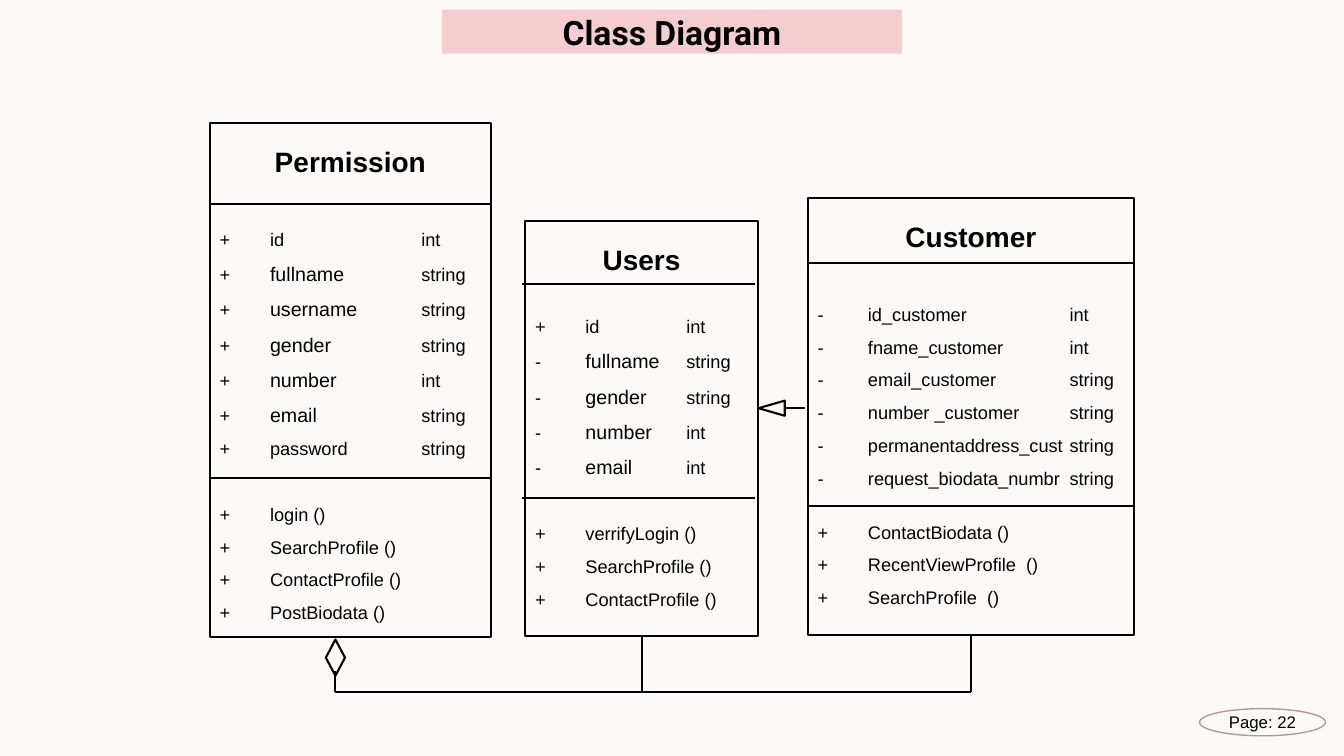
"""Build a class diagram slide with three linked classes."""
from lxml import etree
from pptx import Presentation
from pptx import util as u
from pptx.dml.color import RGBColor
from pptx.enum import shapes, text
from pptx.oxml.ns import qn

COLORS = {"back": "FDFAF6", "ink": "000000", "banner": "F5CDCE", "page": "B59898"}
TITLE, PAGE = "Class Diagram", "Page: 22"
CLASSES = [
    dict(name="Permission", box=(149.8, 87.8, 200.9, 367.2), rules=(145.5, 341.3),
         shift=0, type_tab=144, gaps=(28, 23.4),
         fields=[("+", "id", "int", 13), ("+", "fullname", "string", 14),
                 ("+", "username", "string", 14), ("+", "gender", "string", 14),
                 ("+", "number", "int", 14), ("+", "email", "string", 14),
                 ("+", "password", "string", 13)],
         methods=["login ()", "SearchProfile ()", "ContactProfile ()", "PostBiodata ()"]),
    dict(name="Users", box=(375.1, 157.7, 166.3, 296.6), rules=(203, 355.6),
         shift=-2, type_tab=108, gaps=(20.5, 23.4),
         fields=[("+", "id", "int", 13), ("-", "fullname", "string", 14),
                 ("-", "gender", "string", 14), ("-", "number", "int", 14),
                 ("-", "email", "int", 14)],
         methods=["verrifyLogin ()", "SearchProfile ()", "ContactProfile ()"]),
    dict(name="Customer", box=(576.9, 141.2, 233.2, 312.4), rules=(188, 361.4),
         shift=0, type_tab=180, gaps=(28, 15),
         fields=[("-", "id_customer", "int", 13), ("-", "fname_customer", "int", 13),
                 ("-", "email_customer", "string", 13), ("-", "number _customer", "string", 13),
                 ("-", "permanentaddress_cust", "string", 13),
                 ("-", "request_biodata_numbr", "string", 13)],
         methods=["ContactBiodata ()", "RecentViewProfile  ()", "SearchProfile  ()"]),
]
BUS_Y, DIAMOND_X, USERS_X, CUSTOMER_X = 494.5, 239.6, 458.6, 693.4
LINKS = [(DIAMOND_X, BUS_Y, CUSTOMER_X, BUS_Y), (DIAMOND_X, 479.5, DIAMOND_X, BUS_Y),
         (USERS_X, 454.3, USERS_X, BUS_Y), (CUSTOMER_X, 453.6, CUSTOMER_X, BUS_Y),
         (560.9, 291.6, 575.3, 291.6)]
DIAMOND = (DIAMOND_X - 6.85, 456.8, 13.7, 25.9)
TRIANGLE = (545.8, 282.2, 10.8, 18.7)


def rgb(key):
    return RGBColor.from_string(COLORS[key])


def add_run(p, words, size, bold=False, font="Arial"):
    r = p.add_run()
    r.text = words
    r.font.size, r.font.bold, r.font.name = u.Pt(size), bold, font
    r.font.color.rgb = rgb("ink")


def add_outline(s, kind, box, color="ink", width=1.5):
    sp = s.shapes.add_shape(kind, *map(u.Pt, box))
    sp.shadow.inherit = False
    sp.fill.background()
    sp.line.color.rgb, sp.line.width = rgb(color), u.Pt(width)
    return sp


def add_line(s, *ends):
    ln = s.shapes.add_connector(shapes.MSO_CONNECTOR.STRAIGHT, *map(u.Pt, ends))
    ln.line.color.rgb, ln.line.width = rgb("ink"), u.Pt(1.5)
    etree.SubElement(ln._element.spPr, qn("a:effectLst"))


def add_row(tf, parts, type_tab, before):
    p = tf.add_paragraph()
    p.alignment, p.line_spacing = text.PP_ALIGN.LEFT, 1.5
    p.space_before = u.Pt(before)
    tabs = etree.SubElement(p._p.get_or_add_pPr(), qn("a:tabLst"))
    for stop in (36, type_tab):
        etree.SubElement(tabs, qn("a:tab"), pos=str(u.Pt(stop)), algn="l")
    for words, size in parts:
        add_run(p, words, size)


def add_class(s, name, box, rules, shift, type_tab, gaps, fields, methods):
    sp = add_outline(s, shapes.MSO_SHAPE.RECTANGLE, box)
    tf = sp.text_frame
    tf.word_wrap, tf.vertical_anchor = True, text.MSO_ANCHOR.TOP
    p = tf.paragraphs[0]
    p.alignment, p.line_spacing = text.PP_ALIGN.CENTER, 1.5
    add_run(p, name, 20, True)
    for i, (sign, field, kind, size) in enumerate(fields):
        parts = [(sign + "\t", 13), (field, size), ("\t" + kind, 13)]
        add_row(tf, parts, type_tab, 0 if i else gaps[0])
    for i, method in enumerate(methods):
        add_row(tf, [("+\t" + method, 13)], type_tab, 0 if i else gaps[1])
    left = box[0] + shift
    for y in rules:
        add_line(s, left, y, left + box[2], y)


def add_label(sp, words, size, bold=False, font="Arial"):
    tf = sp.text_frame
    tf.word_wrap, tf.vertical_anchor = True, text.MSO_ANCHOR.MIDDLE
    tf.auto_size = text.MSO_AUTO_SIZE.NONE
    tf.margin_left = tf.margin_right = tf.margin_top = tf.margin_bottom = 0
    p = tf.paragraphs[0]
    p.alignment = text.PP_ALIGN.CENTER
    add_run(p, words, size, bold, font)


def main():
    prs = Presentation()
    prs.slide_width, prs.slide_height = u.Pt(960), u.Pt(540)
    s = prs.slides.add_slide(prs.slide_layouts[5])
    s.background.fill.solid()
    s.background.fill.fore_color.rgb = rgb("back")

    title = s.shapes.title
    title.left, title.top, title.width, title.height = map(u.Pt, (315.6, 6.8, 328.8, 31.6))
    title.fill.solid()
    title.fill.fore_color.rgb = rgb("banner")
    add_label(title, TITLE, 24, True, "Roboto")

    for item in CLASSES:
        add_class(s, **item)
    for link in LINKS:
        add_line(s, *link)
    add_outline(s, shapes.MSO_SHAPE.FLOWCHART_DECISION, DIAMOND)
    add_outline(s, shapes.MSO_SHAPE.FLOWCHART_EXTRACT, TRIANGLE).rotation = 270

    page = add_outline(s, shapes.MSO_SHAPE.OVAL, (856.8, 506.2, 90, 19.4), "page", 1)
    add_label(page, PAGE, 12)
    prs.save("out.pptx")


if __name__ == "__main__":
    main()
